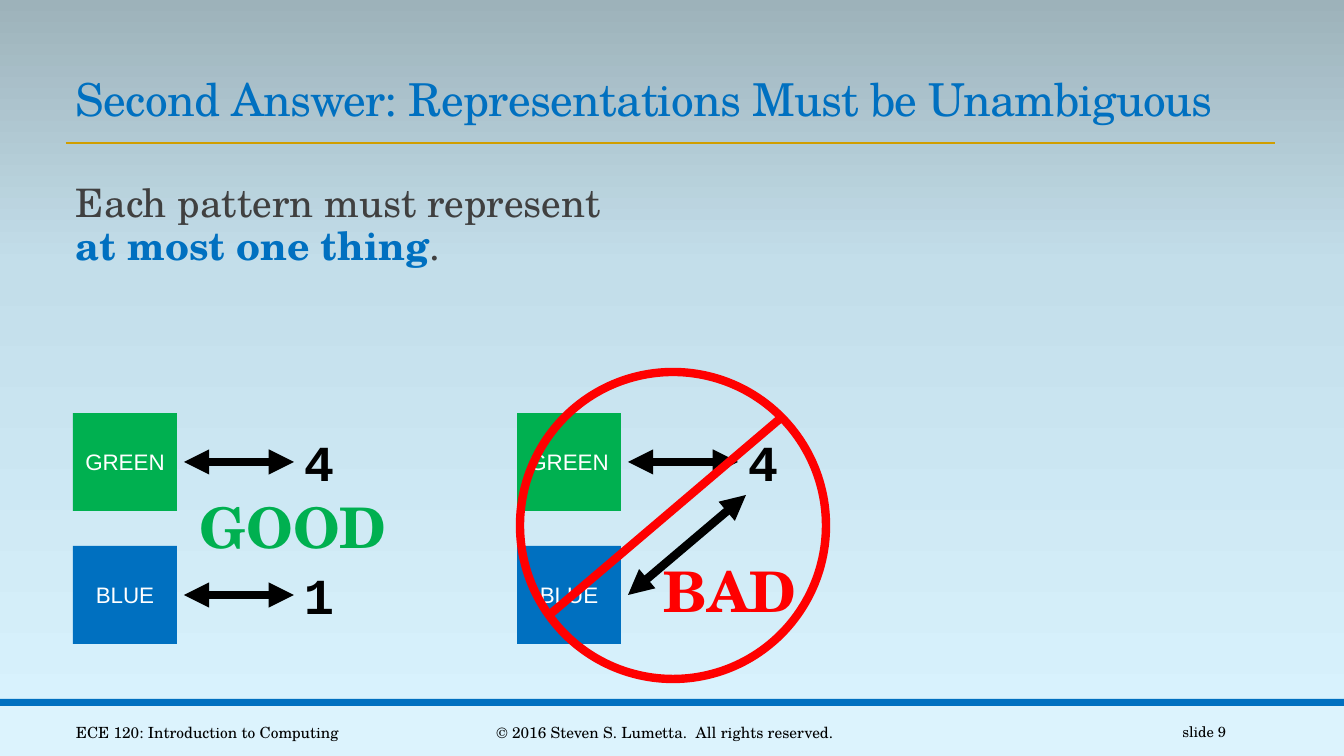
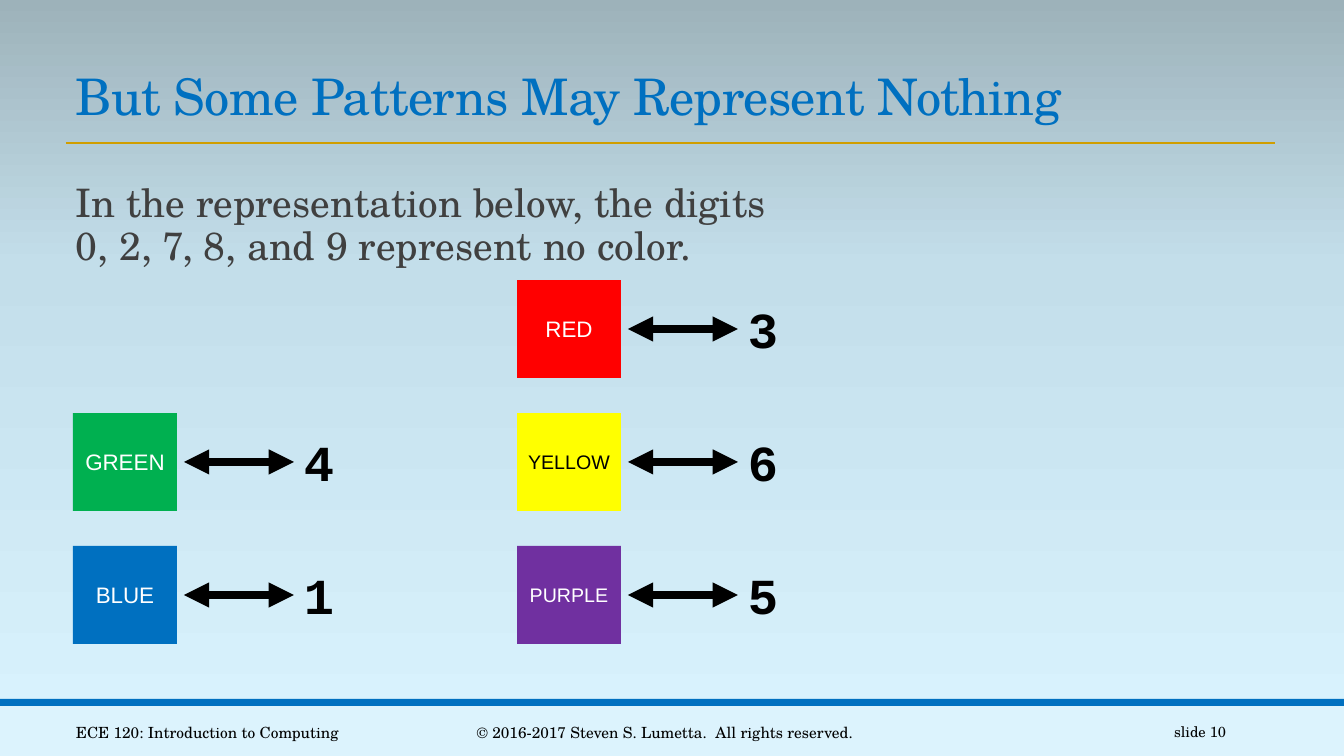
from dataclasses import dataclass

from pptx import Presentation
from pptx.dml.color import RGBColor
from pptx.enum.shapes import MSO_CONNECTOR, MSO_SHAPE
from pptx.enum.text import MSO_ANCHOR, PP_ALIGN
from pptx.oxml.ns import qn
from pptx.oxml.xmlchemy import OxmlElement
from pptx.util import Inches, Pt

LEFT, CENTER, RIGHT = PP_ALIGN.LEFT, PP_ALIGN.CENTER, PP_ALIGN.RIGHT
TOP, MIDDLE, BOTTOM = MSO_ANCHOR.TOP, MSO_ANCHOR.MIDDLE, MSO_ANCHOR.BOTTOM
RECTANGLE, OVAL = MSO_SHAPE.RECTANGLE, MSO_SHAPE.OVAL
STRAIGHT = MSO_CONNECTOR.STRAIGHT


@dataclass(frozen=True)
class Theme:
    serif: str = "TeX Gyre Schola"
    sans: str = "Arial"
    mono: str = "Courier New"
    blue: str = "0070C0"
    green: str = "00B050"
    red: str = "FF0000"
    yellow: str = "FFFF00"
    purple: str = "7030A0"
    gold: str = "D09E00"
    body: str = "404040"
    black: str = "000000"
    white: str = "FFFFFF"
    footer_band: str = "DCF3FD"
    background: tuple = ((0, "DAF4FF"), (65, "C3DEEA"), (100, "9DB2BA"))
    body_size: float = 28
    verdict_size: float = 40
    digit_size: float = 36
    label_size: float = 16
    long_label_size: float = 14
    footer_size: float = 11
    number_size: float = 10.5
    rule_width: float = 2
    stroke_width: float = 6


T = Theme()
PX = Inches(1) / 100.8
SLIDE_W, SLIDE_H = 1344, 756

# Grid of colour squares, each with an arrow to its digit
COLUMNS = (73, 517)
FIRST_ROW, ROW_STEP = 280, 133
SQUARE_W, SQUARE_H = 104, 98
ARROW_START, ARROW_END = 111, 221
DIGIT_DROP, DIGIT_W, DIGIT_H = 13, 51, 72

COLOR_FILLS = {"GREEN": T.green, "BLUE": T.blue, "RED": T.red,
               "YELLOW": T.yellow, "PURPLE": T.purple}
COURSE = "ECE 120: Introduction to Computing"

# Pairs are (column, row, colour, digit)
GOOD_PAIRS = [(0, 1, "GREEN", "4"), (0, 2, "BLUE", "1")]
SLIDES = [
    {
        "title": "Second Answer: Representations Must be Unambiguous",
        "title_size": 32.4,
        "lines": [[("Each pattern must represent", {})],
                  [("at most one thing", {"color": T.blue, "bold": True}), (".", {})]],
        "years": "2016",
        "number": 9,
        "pairs": GOOD_PAIRS + [(1, 1, "GREEN", "4"), (1, 2, "BLUE", None)],
        "slanted_arrow": ((628, 595), (746, 495)),
        "verdicts": [("GOOD", T.green, (190, 488, 209, 78)),
                     ("BAD", T.red, (654, 552, 154, 78))],
        "ban_circle": (520, 372, 306, 307),
        "ban_slash": ((548, 616), (782, 417)),
    },
    {
        "title": "But Some Patterns May Represent Nothing",
        "title_size": 36,
        "lines": [[("In the representation below, the digits", {})],
                  [("0, 2, 7, 8, and 9 represent no color.", {})]],
        "years": "2016-2017",
        "number": 10,
        "pairs": GOOD_PAIRS + [(1, 0, "RED", "3"), (1, 1, "YELLOW", "6"),
                               (1, 2, "PURPLE", "5")],
    },
]


def px(length):
    return round(length * PX)


def rgb(color):
    return RGBColor.from_string(color)


def child(parent, tag, **attributes):
    element = OxmlElement(tag)
    for key, value in attributes.items():
        element.set(key, str(value))
    parent.append(element)
    return element


def add_run(paragraph, text, *, size, font=T.serif, color=T.black, bold=False):
    run = paragraph.add_run()
    run.text = text
    run.font.size, run.font.name, run.font.bold = Pt(size), font, bold
    run.font.color.rgb = rgb(color)
    return run


def write(shape, text, *, align=LEFT, anchor=TOP, wrap=True, **font):
    """Set the text of a shape as one formatted paragraph; return its run."""
    frame = shape.text_frame
    frame.word_wrap, frame.vertical_anchor = wrap, anchor
    paragraph = frame.paragraphs[0]
    paragraph.alignment = align
    return add_run(paragraph, text, **font)


def add_box(slide, box):
    return slide.shapes.add_textbox(*map(px, box))


def add_block(slide, kind, box, fill=None, outline=None):
    block = slide.shapes.add_shape(kind, *map(px, box))
    block.shadow.inherit = False
    if fill:
        block.fill.solid()
        block.fill.fore_color.rgb = rgb(fill)
    else:
        block.fill.background()
    if outline:
        block.line.color.rgb = rgb(outline)
        block.line.width = Pt(T.stroke_width)
    else:
        block.line.fill.background()
    return block


def add_line(slide, start, end, color, width=T.stroke_width, arrows=False):
    line = slide.shapes.add_connector(STRAIGHT, *map(px, (*start, *end)))
    line.line.color.rgb = rgb(color)
    line.line.width = Pt(width)
    if arrows:
        for tag in ("a:headEnd", "a:tailEnd"):
            child(line.line._get_or_add_ln(), tag, type="triangle")
    child(line._element.spPr, "a:effectLst")


def paint_background(slide):
    fill = slide.background.fill
    fill.gradient()
    fill.gradient_angle = 90
    stops = next(slide.element.iter(qn("a:gsLst")))
    for stop in list(stops):
        stops.remove(stop)
    for position, color in T.background:
        stop = child(stops, "a:gs", pos=position * 1000)
        child(stop, "a:srgbClr", val=color)


def add_frame(slide, content):
    """Draw the background, title, bands and footers that all slides share."""
    paint_background(slide)
    add_block(slide, RECTANGLE, (0, 706, SLIDE_W, 50), T.footer_band)
    add_block(slide, RECTANGLE, (0, 699, SLIDE_W, 7), T.blue)
    add_line(slide, (66, 143), (1275, 143), T.gold, T.rule_width)

    title = add_box(slide, (66, 59, 1211, 72))
    run = write(title, content["title"], anchor=BOTTOM,
                size=content["title_size"], color=T.blue)
    run.font._element.set("spc", "-50")
    title.text_frame.paragraphs[0].line_spacing = 0.85

    rights = f"© {content['years']} Steven S. Lumetta.  All rights reserved."
    footers = [(COURSE, 66, 328, LEFT, T.footer_size),
               (rights, 406, 518, CENTER, T.footer_size),
               (f"slide {content['number']}", 1092, 144, RIGHT, T.number_size)]
    for text, left, width, align, size in footers:
        write(add_box(slide, (left, 712, width, 40)), text,
              align=align, anchor=MIDDLE, size=size)


def add_statement(slide, lines):
    frame = add_box(slide, (66, 179, 859, 468)).text_frame
    frame.word_wrap = True
    frame.margin_left = frame.margin_right = 0
    paragraph = frame.paragraphs[0]
    paragraph.line_spacing = 0.9
    paragraph.space_before, paragraph.space_after = Pt(12), Pt(2)
    paragraph._p.get_or_add_pPr().set("marL", str(px(10)))
    for index, line in enumerate(lines):
        if index:
            paragraph.add_line_break()
        for text, emphasis in line:
            add_run(paragraph, text,
                    **{"size": T.body_size, "color": T.body, **emphasis})


def add_pair(slide, column, row, name, digit):
    """Draw a colour square and, if it has a digit, the arrow and the digit."""
    left, top = COLUMNS[column], FIRST_ROW + row * ROW_STEP
    square = add_block(slide, RECTANGLE, (left, top, SQUARE_W, SQUARE_H),
                       COLOR_FILLS[name])
    write(square, name, align=CENTER, anchor=MIDDLE, font=T.sans,
          size=T.long_label_size if len(name) > 5 else T.label_size,
          color=T.black if name == "YELLOW" else T.white)
    if digit:
        middle = top + SQUARE_H // 2
        add_line(slide, (left + ARROW_START, middle), (left + ARROW_END, middle),
                 T.black, arrows=True)
        box = (left + ARROW_END, top + DIGIT_DROP, DIGIT_W, DIGIT_H)
        write(add_box(slide, box), digit, wrap=False,
              size=T.digit_size, font=T.mono, bold=True)


def build_slide(deck, content):
    slide = deck.slides.add_slide(deck.slide_layouts[6])
    add_frame(slide, content)
    add_statement(slide, content["lines"])
    for pair in content["pairs"]:
        add_pair(slide, *pair)
    if "slanted_arrow" in content:
        add_line(slide, *content["slanted_arrow"], T.black, arrows=True)
    for word, color, box in content.get("verdicts", []):
        write(add_box(slide, box), word, wrap=False,
              size=T.verdict_size, color=color, bold=True)
    if "ban_circle" in content:
        add_block(slide, OVAL, content["ban_circle"], outline=T.red)
        add_line(slide, *content["ban_slash"], T.red)


def main():
    deck = Presentation()
    deck.slide_width, deck.slide_height = px(SLIDE_W), px(SLIDE_H)
    for content in SLIDES:
        build_slide(deck, content)
    deck.save("out.pptx")


if __name__ == "__main__":
    main()
